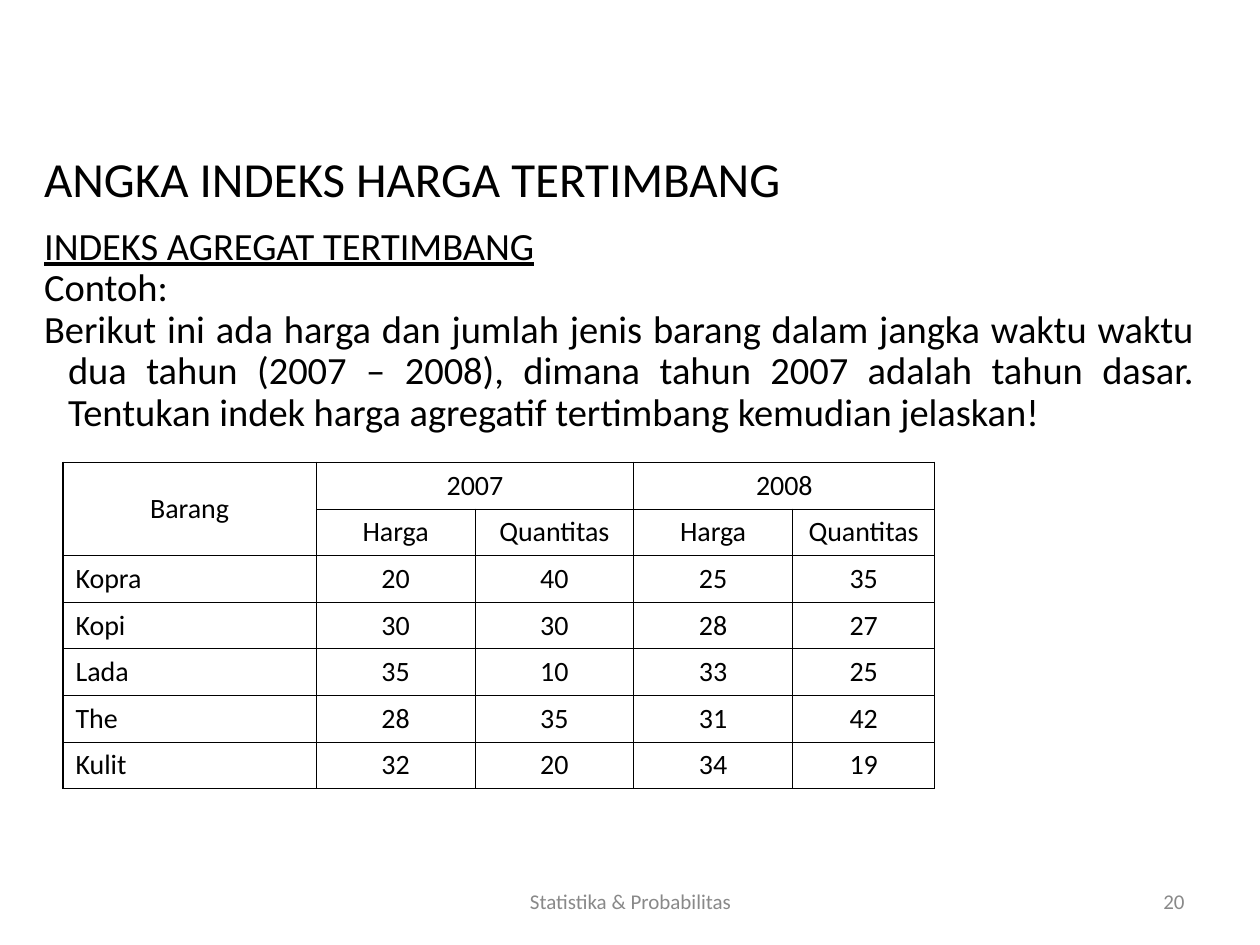
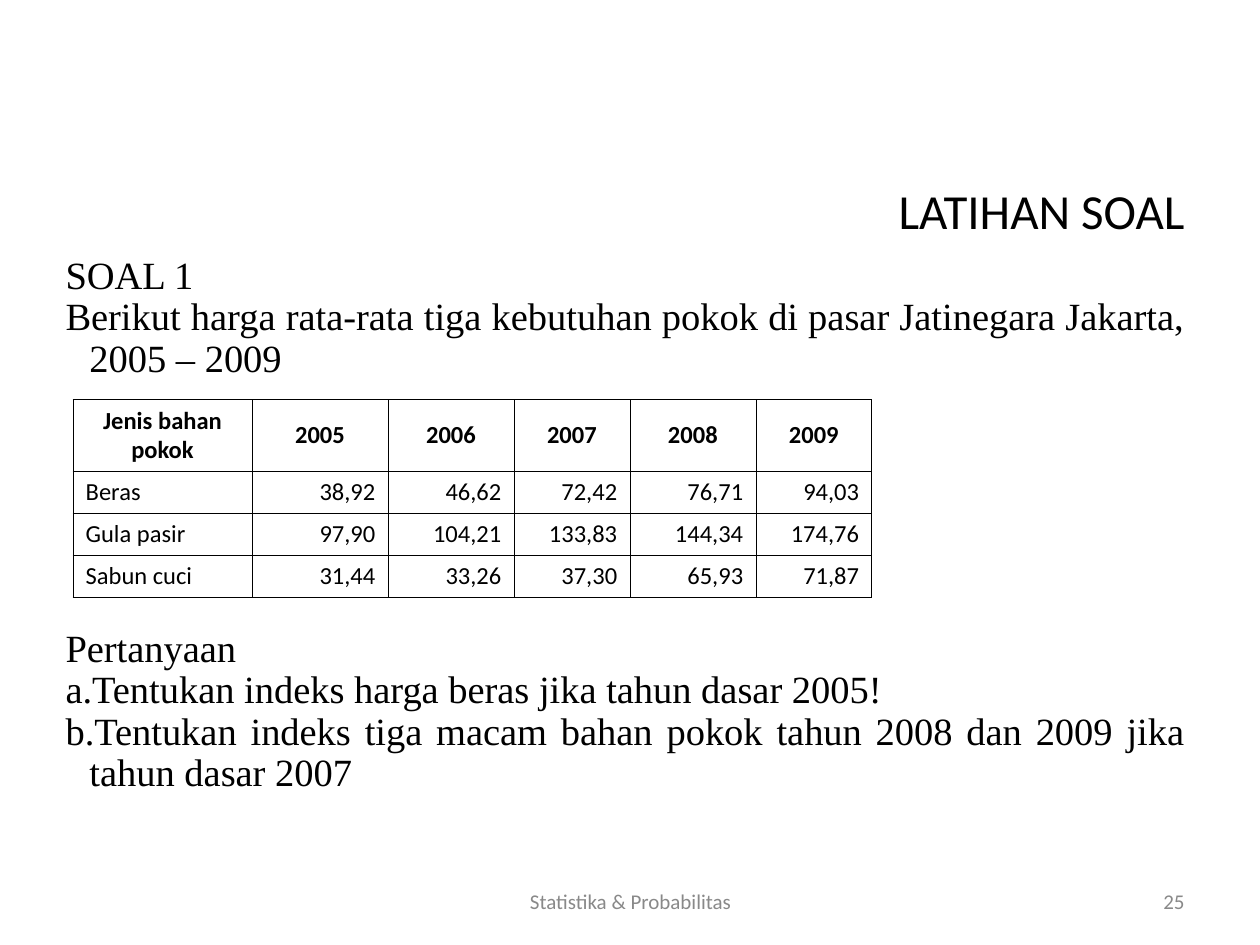
from lxml import etree
from pptx import Presentation
from pptx.dml.color import RGBColor
from pptx.enum.text import MSO_ANCHOR, MSO_AUTO_SIZE, PP_ALIGN
from pptx.oxml.ns import qn
from pptx.util import Inches, Pt

LEFT, MID, RIGHT, FULL = PP_ALIGN.LEFT, PP_ALIGN.CENTER, PP_ALIGN.RIGHT, PP_ALIGN.JUSTIFY
MIDDLE, TOP = MSO_ANCHOR.MIDDLE, MSO_ANCHOR.TOP
NO_FIT = MSO_AUTO_SIZE.NONE

COLORS = {"text": "000000", "foot": "898989"}
SANS, SERIF = "Calibri", "Times New Roman"
FOOTER = "Statistika & Probabilitas"
HANG = 0.19
THIN, THICK = 0.45, 1.08

# Body lines: text, then any of "line" (underlined), "list" (lettered), "gap" (points above)
SLIDES = [
    {
        "title": "ANGKA INDEKS HARGA TERTIMBANG",
        "title_box": (0.25, 1.08, 9, 0.67),
        "title_align": LEFT,
        "body_box": (0.25, 1.75, 9.33, 1.75),
        "font": SANS,
        "body": [
            ("INDEKS AGREGAT TERTIMBANG", {"line": True}),
            ("Contoh:", {}),
            ("Berikut ini ada harga dan jumlah jenis barang dalam jangka waktu waktu "
             "dua tahun (2007 – 2008), dimana tahun 2007 adalah tahun dasar. "
             "Tentukan indek harga agregatif tertimbang kemudian jelaskan!", {}),
        ],
        "number": "20",
        "table": {
            "at": (0.5, 3.67),
            "cols": [2.01, 1.26, 1.26, 1.26, 1.13],
            "heights": [0.37] * 7,
            "rows": [
                ["Barang", "2007", "", "2008", ""],
                ["", "Harga", "Quantitas", "Harga", "Quantitas"],
                ["Kopra", "20", "40", "25", "35"],
                ["Kopi", "30", "30", "28", "27"],
                ["Lada", "35", "10", "33", "25"],
                ["The", "28", "35", "31", "42"],
                ["Kulit", "32", "20", "34", "19"],
            ],
            "spans": [((0, 0), (1, 0)), ((0, 1), (0, 2)), ((0, 3), (0, 4))],
            "heads": 2, "bold": False, "size": 16,
            "align": MID, "anchor": MIDDLE, "edge": THICK,
        },
    },
    {
        "title": "LATIHAN SOAL",
        "title_box": (0.5, 1.33, 9, 0.67),
        "title_align": RIGHT,
        "body_box": (0.42, 1.98, 9.08, 4.72),
        "font": SERIF,
        "body": [
            ("SOAL 1", {}),
            ("Berikut harga rata-rata tiga kebutuhan pokok di pasar Jatinegara "
             "Jakarta, 2005 – 2009", {}),
            ("Pertanyaan", {"gap": 142}),
            ("Tentukan indeks harga beras jika tahun dasar 2005!", {"list": True}),
            ("Tentukan indeks tiga macam bahan pokok tahun 2008 dan 2009 jika "
             "tahun dasar 2007", {"list": True}),
        ],
        "number": "25",
        "table": {
            "at": (0.58, 3.17),
            "cols": [1.42, 1.08, 1, 0.92, 1, 0.92],
            "heights": [0.57] + [0.33] * 3,
            "rows": [
                ["Jenis bahan pokok", "2005", "2006", "2007", "2008", "2009"],
                ["Beras", "38,92", "46,62", "72,42", "76,71", "94,03"],
                ["Gula pasir", "97,90", "104,21", "133,83", "144,34", "174,76"],
                ["Sabun cuci", "31,44", "33,26", "37,30", "65,93", "71,87"],
            ],
            "spans": [],
            "heads": 1, "bold": True, "size": 14,
            "align": RIGHT, "anchor": TOP, "edge": THIN,
        },
    },
]


def place(shape, box):
    shape.left, shape.top, shape.width, shape.height = map(Inches, box)


def write(para, text, size, align, font=SANS, color="text", bold=False, line=False):
    para.alignment = align
    run = para.add_run()
    run.text = text
    run.font.size = Pt(size)
    run.font.name = font
    run.font.bold = bold
    run.font.underline = line
    run.font.color.rgb = RGBColor.from_string(COLORS[color])


def add_title(slide, data):
    title = slide.shapes.title
    place(title, data["title_box"])
    frame = title.text_frame
    frame.auto_size = NO_FIT
    frame.vertical_anchor = MIDDLE
    write(frame.paragraphs[0], data["title"], 28, data["title_align"])


def add_body(slide, data):
    body = slide.placeholders[1]
    place(body, data["body_box"])
    frame = body.text_frame
    frame.auto_size = NO_FIT
    for i, (text, style) in enumerate(data["body"]):
        para = frame.paragraphs[0] if i == 0 else frame.add_paragraph()
        props = para._p.get_or_add_pPr()
        props.set("marL", str(Inches(HANG)))
        props.set("indent", str(-Inches(HANG)))
        if style.get("list"):
            etree.SubElement(props, qn("a:buFont"), typeface="+mj-lt")
            etree.SubElement(props, qn("a:buAutoNum"), type="alphaLcPeriod")
        else:
            etree.SubElement(props, qn("a:buNone"))
        para.line_spacing = 0.9
        para.space_before = Pt(style.get("gap", 0))
        write(para, text, 22, FULL, data["font"], line=style.get("line", False))


def add_foot(slide, text, box, align):
    frame = slide.shapes.add_textbox(*map(Inches, box)).text_frame
    frame.word_wrap = True
    frame.vertical_anchor = MIDDLE
    write(frame.paragraphs[0], text, 12, align, color="foot")


def rule(cell, widths):
    """Draw the cell's borders; widths are points by side."""
    props = cell._tc.get_or_add_tcPr()
    for side, width in widths.items():
        line = etree.SubElement(props, qn(f"a:ln{side}"), w=str(Pt(width)))
        fill = etree.SubElement(line, qn("a:solidFill"))
        etree.SubElement(fill, qn("a:srgbClr"), val=COLORS["text"])


def add_grid(slide, data):
    rows, cols, heights = data["rows"], data["cols"], data["heights"]
    box = (*data["at"], sum(cols), sum(heights))
    grid = slide.shapes.add_table(len(rows), len(cols), *map(Inches, box)).table
    grid.first_row = grid.horz_banding = False
    for col, width in zip(grid.columns, cols):
        col.width = Inches(width)
    for row, height in zip(grid.rows, heights):
        row.height = Inches(height)
    for start, end in data["spans"]:
        grid.cell(*start).merge(grid.cell(*end))
    for r, row in enumerate(rows):
        head = r < data["heads"]
        for c, text in enumerate(row):
            cell = grid.cell(r, c)
            rule(cell, {"L": THIN if c else data["edge"], "R": THIN,
                        "T": THIN if r else data["edge"], "B": THIN})
            cell.fill.background()
            cell.vertical_anchor = MIDDLE if head else data["anchor"]
            if text:
                align = MID if head else data["align"] if c else LEFT
                write(cell.text_frame.paragraphs[0], text, data["size"], align,
                      bold=head and data["bold"])


def main():
    deck = Presentation()
    deck.slide_width, deck.slide_height = Inches(10), Inches(7.5)
    for data in SLIDES:
        slide = deck.slides.add_slide(deck.slide_layouts[1])
        add_title(slide, data)
        add_body(slide, data)
        add_foot(slide, data["number"], (7.17, 6.95, 2.33, 0.4), RIGHT)
        add_foot(slide, FOOTER, (3.42, 6.95, 3.17, 0.4), MID)
        add_grid(slide, data["table"])
    deck.save("out.pptx")


if __name__ == "__main__":
    main()
